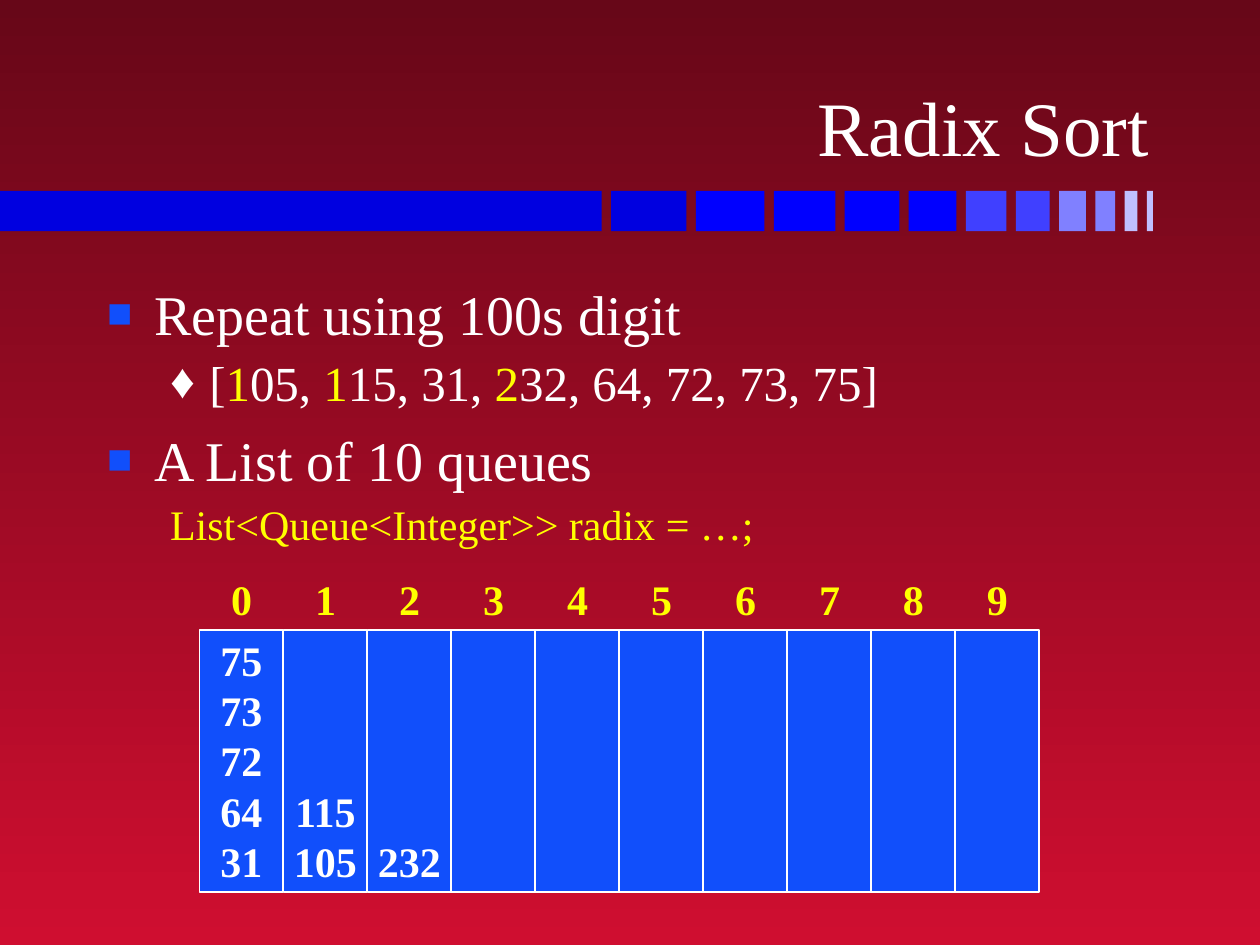
from dataclasses import dataclass

from lxml import etree
from pptx import Presentation, util as u
from pptx.dml.color import RGBColor
from pptx.enum import shapes, text
from pptx.oxml.ns import qn


@dataclass(frozen=True)
class Theme:
    font: str = "Times New Roman"
    top: str = "670718"
    base: str = "CF0E30"
    white: str = "FFFFFF"
    yellow: str = "FFFF00"
    blue: str = "114FFB"
    bars: tuple = ("0000E0",) * 2 + ("0000FF",) * 4 + (
        "4040FF", "4040FF", "8080FF", "8080FF", "C0C0FF", "C0C0FF")
    title: int = 44
    head: int = 32
    sub: int = 28
    small: int = 24


THEME = Theme()
QUEUES = [["75", "73", "72", "64", "31"], ["115", "105"], ["232"]] + [[]] * 7


def color(code):
    return RGBColor.from_string(code)


def set_bullet(para, char, tint, scale):
    props = para._p.get_or_add_pPr()
    fill = etree.SubElement(props, qn("a:buClr"))
    etree.SubElement(fill, qn("a:srgbClr"), val=tint)
    etree.SubElement(props, qn("a:buSzPct"), val=str(scale * 1000))
    etree.SubElement(props, qn("a:buFont"), typeface=THEME.font)
    etree.SubElement(props, qn("a:buChar"), char=char)


def write(frame, parts, first=False, size=THEME.small, tint=THEME.white,
          bold=False, align=text.PP_ALIGN.LEFT, space=0, level=0,
          indent=(0, 0), bullet=None):
    """Add one paragraph; parts is a string or a list of (string, colour)."""
    para = frame.paragraphs[0] if first else frame.add_paragraph()
    if bullet:
        set_bullet(para, *bullet)
    para.level, para.alignment = level, align
    para.space_before = u.Pt(space)
    props = para._p.get_or_add_pPr()
    props.set("marL", str(u.Cm(indent[0])))
    props.set("indent", str(u.Cm(indent[1])))
    for words, shade in [(parts, tint)] if isinstance(parts, str) else parts:
        run = para.add_run()
        run.text = words
        run.font.name, run.font.size = THEME.font, u.Pt(size)
        run.font.bold = bold
        run.font.color.rgb = color(shade)


def add_box(slide, left, top, width, height, wrap=True):
    frame = slide.shapes.add_textbox(
        u.Cm(left), u.Cm(top), u.Cm(width), u.Cm(height)).text_frame
    frame.word_wrap = wrap
    return frame


def add_rect(slide, left, top, width, height, fill, line=None):
    rect = slide.shapes.add_shape(
        shapes.MSO_SHAPE.RECTANGLE,
        u.Cm(left), u.Cm(top), u.Cm(width), u.Cm(height))
    rect.shadow.inherit = False
    rect.fill.solid()
    rect.fill.fore_color.rgb = color(fill)
    if line:
        rect.line.color.rgb = color(line)
        rect.line.width = u.Pt(1)
    else:
        rect.line.fill.background()
    return rect


def paint_back(slide):
    fill = slide.background.fill
    fill.gradient()
    fill.gradient_angle = 270
    for stop, code in zip(fill.gradient_stops, (THEME.top, THEME.base)):
        stop.color.rgb = color(code)


def draw_bars(slide):
    """Draw one long bar, then bars that shrink by an equal step."""
    left, width = 0, 12.13
    for step, fill in enumerate(THEME.bars):
        add_rect(slide, left, 3.85, width, 0.81, fill)
        left += width + 0.19
        width = 1.52 - 0.14 * step


def add_body(slide):
    frame = add_box(slide, 1.91, 5.51, 21.59, 11.43)
    head = dict(size=THEME.head, indent=(0.95, -0.95),
                bullet=("■", THEME.blue, 75))
    sub = dict(level=1, indent=(2.06, -0.79))
    plain, mark = THEME.white, THEME.yellow
    digits = [("[", plain), ("1", mark), ("05, ", plain), ("1", mark),
              ("15, 31, ", plain), ("2", mark),
              ("32, 64, 72, 73, 75]", plain)]
    write(frame, "Repeat using 100s digit", first=True, **head)
    write(frame, digits, size=THEME.sub, space=3.5,
          bullet=("♦", plain, 100), **sub)
    write(frame, "A List of 10 queues", space=8, **head)
    write(frame, "List<Queue<Integer>> radix = …;", tint=mark, space=3, **sub)


def add_queues(slide):
    pitch = 16.93 / len(QUEUES)
    for place, items in enumerate(QUEUES):
        left = 4.02 + place * pitch
        rect = add_rect(slide, left, 12.7, pitch, 5.29,
                        THEME.blue, THEME.white)
        frame = rect.text_frame
        frame.word_wrap = False
        frame.vertical_anchor = text.MSO_ANCHOR.BOTTOM
        for row, item in enumerate(items):
            write(frame, item, first=row == 0, bold=True,
                  align=text.PP_ALIGN.CENTER)
        label = add_box(slide, left + 0.39, 11.43, 0.92, 1.27, wrap=False)
        label.auto_size = text.MSO_AUTO_SIZE.SHAPE_TO_FIT_TEXT
        write(label, str(place), first=True, tint=THEME.yellow, bold=True)


def main():
    deck = Presentation()
    deck.slide_width, deck.slide_height = u.Cm(25.4), u.Cm(19.05)
    slide = deck.slides.add_slide(deck.slide_layouts[6])
    paint_back(slide)
    draw_bars(slide)
    title = add_box(slide, 1.88, 0.48, 21.54, 3.12)
    title.vertical_anchor = text.MSO_ANCHOR.BOTTOM
    write(title, "Radix Sort", first=True, size=THEME.title,
          align=text.PP_ALIGN.RIGHT)
    add_body(slide)
    add_queues(slide)
    deck.save("out.pptx")


if __name__ == "__main__":
    main()
